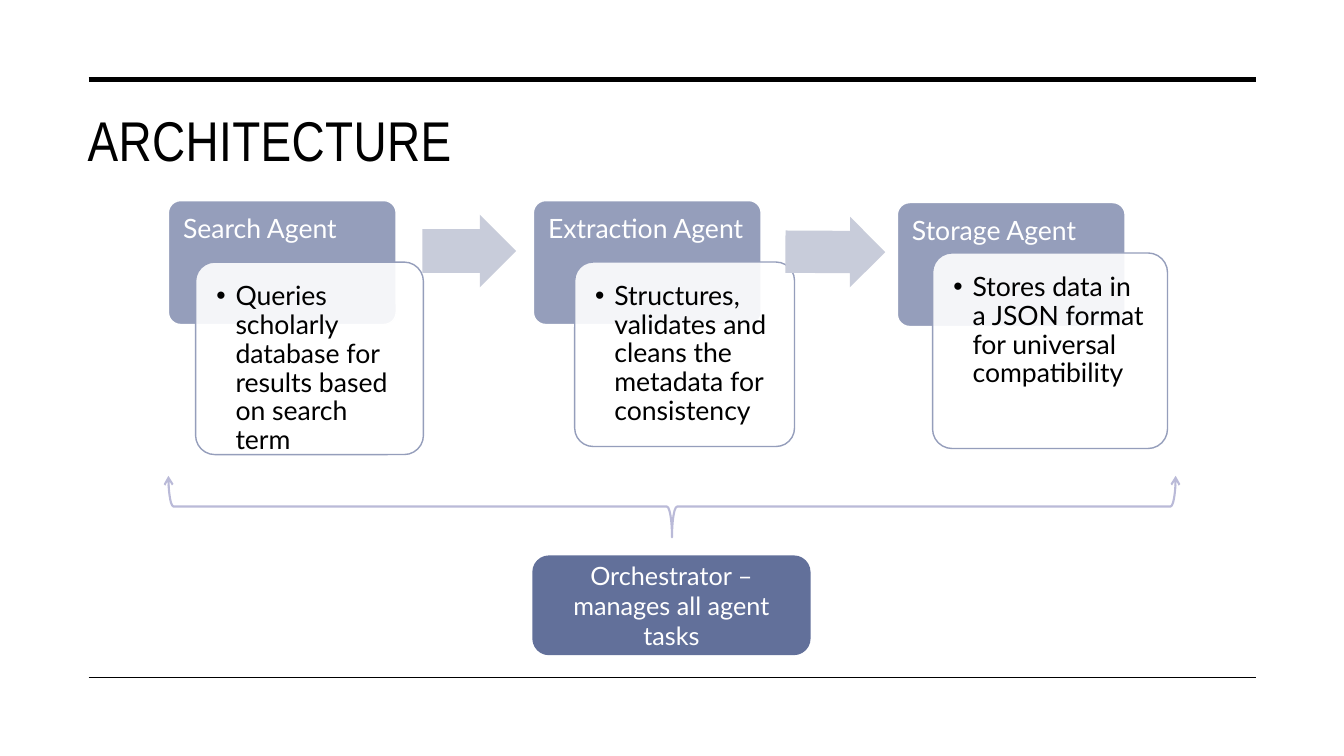
from lxml import etree
from pptx import Presentation
from pptx.dml.color import RGBColor
from pptx.enum.shapes import MSO_CONNECTOR, MSO_SHAPE
from pptx.enum.text import MSO_ANCHOR, MSO_AUTO_SIZE, PP_ALIGN
from pptx.oxml.ns import qn
from pptx.util import Inches, Pt

ROUNDED = MSO_SHAPE.ROUNDED_RECTANGLE
ARROW = MSO_SHAPE.RIGHT_ARROW
BRACE = MSO_SHAPE.LEFT_BRACE
STRAIGHT = MSO_CONNECTOR.STRAIGHT
TOP, MIDDLE = MSO_ANCHOR.TOP, MSO_ANCHOR.MIDDLE
LEFT, CENTER = PP_ALIGN.LEFT, PP_ALIGN.CENTER

COLORS = {
    "text": "000000",
    "white": "FFFFFF",
    "header": "959EBB",
    "arrow": "C8CCDA",
    "brace": "BABAD8",
    "orchestrator": "62709A",
}
BODY_FONT, TITLE_FONT = "Lato", "Arial Narrow"

# Agent name, task, header position, body box
AGENTS = [
    ("Search Agent", "Queries scholarly database for results based on search term",
     (1.67, 1.99), (1.94, 2.6, 2.26, 1.91)),
    ("Extraction Agent", "Structures, validates and cleans the metadata for consistency",
     (5.29, 1.99), (5.7, 2.6, 2.18, 1.83)),
    ("Storage Agent", "Stores data in a JSON format for universal compatibility",
     (8.9, 2.01), (9.25, 2.51, 2.33, 1.94)),
]
HEADER_SIZE = (2.26, 1.23)
# Arrow box and rotation, each leading to the next agent
ARROWS = [((4.19, 2.13, 0.93, 0.72), 0), ((7.79, 2.15, 0.99, 0.7), 0.3)]


def color(name):
    return RGBColor.from_string(COLORS[name])


def write_text(shape, text, size=19, font=BODY_FONT, color_name="text", align=LEFT,
               anchor=TOP, insets=(0.1, 0.05, 0.1, 0.05), spacing=1.0,
               bullet=False, tracking=None):
    frame = shape.text_frame
    frame.auto_size = MSO_AUTO_SIZE.NONE
    frame.word_wrap = True
    frame.vertical_anchor = anchor
    frame.margin_left, frame.margin_top, frame.margin_right, frame.margin_bottom = map(
        Inches, insets)
    paragraph = frame.paragraphs[0]
    if bullet:
        properties = paragraph._p.get_or_add_pPr()
        properties.set("marL", str(Inches(0.19)))
        properties.set("indent", str(Inches(-0.19)))
        etree.SubElement(properties, qn("a:buFont")).set("typeface", "Arial")
        etree.SubElement(properties, qn("a:buChar")).set("char", "•")
    paragraph.alignment = align
    paragraph.line_spacing = spacing
    run = paragraph.add_run()
    run.text = text
    run.font.size = Pt(size)
    run.font.name = font
    run.font.color.rgb = color(color_name)
    if tracking is not None:
        run._r.get_or_add_rPr().set("spc", str(round(tracking * 100)))


def add_shape(slide, kind, box, fill=None, line=None, width=1, alpha=None,
              rotation=0, adjustments=()):
    shape = slide.shapes.add_shape(kind, *map(Inches, box))
    shape.shadow.inherit = False
    shape.rotation = rotation
    for index, value in enumerate(adjustments):
        shape.adjustments[index] = value
    if fill:
        shape.fill.solid()
        shape.fill.fore_color.rgb = color(fill)
    else:
        shape.fill.background()
    if alpha is not None:
        fill_color = shape._element.spPr.find(qn("a:solidFill"))[0]
        etree.SubElement(fill_color, qn("a:alpha")).set("val", str(alpha * 1000))
    if line:
        shape.line.color.rgb = color(line)
        shape.line.width = Pt(width)
    else:
        shape.line.fill.background()
    return shape


def add_rule(slide, y, width):
    rule = slide.shapes.add_connector(
        STRAIGHT, Inches(0.88), Inches(y), Inches(12.46), Inches(y))
    rule.line.color.rgb = color("text")
    rule.line.width = Pt(width)
    etree.SubElement(rule._element.spPr, qn("a:effectLst"))


def add_title(slide, text):
    title = slide.shapes.title
    title.left, title.top, title.width, title.height = map(
        Inches, (0.77, 1, 11.69, 1.43))
    write_text(title, text, size=40, font=TITLE_FONT, tracking=0.3)


def add_agent(slide, name, task, position, body_box):
    header = add_shape(slide, ROUNDED, position + HEADER_SIZE, fill="header",
                       line="white", adjustments=[0.1])
    write_text(header, name, color_name="white", spacing=0.9,
               insets=(0.11, 0.11, 0.11, 0.08))
    body = add_shape(slide, ROUNDED, body_box, fill="white", line="header",
                     alpha=90, adjustments=[0.1])
    write_text(body, task, spacing=0.9, insets=(0.15,) * 4, bullet=True)


def add_brace(slide):
    brace = add_shape(slide, BRACE, (6.36, 0.03, 0.61, 9.99), line="brace",
                      width=1.5, rotation=270)
    outline = brace.line._get_or_add_ln()
    for end in ("a:headEnd", "a:tailEnd"):
        etree.SubElement(outline, qn(end)).set("type", "arrow")


def main():
    presentation = Presentation()
    presentation.slide_width = Inches(13.33)
    presentation.slide_height = Inches(7.5)
    slide = presentation.slides.add_slide(presentation.slide_layouts[5])

    # Frame and title
    add_rule(slide, 0.79, 3.5)
    add_rule(slide, 6.72, 1)
    add_title(slide, "ARCHITECTURE")

    # Agents, with an arrow after each but the last
    for index, agent in enumerate(AGENTS):
        add_agent(slide, *agent)
        if index < len(ARROWS):
            box, rotation = ARROWS[index]
            add_shape(slide, ARROW, box, fill="arrow", rotation=rotation,
                      adjustments=[0.6, 0.5])

    # Orchestrator spanning all agents
    add_brace(slide)
    orchestrator = add_shape(slide, ROUNDED, (5.28, 5.51, 2.76, 0.99),
                             fill="orchestrator")
    write_text(orchestrator, "Orchestrator – manages all agent tasks", size=18,
               color_name="white", align=CENTER, anchor=MIDDLE)

    presentation.save("out.pptx")


if __name__ == "__main__":
    main()
